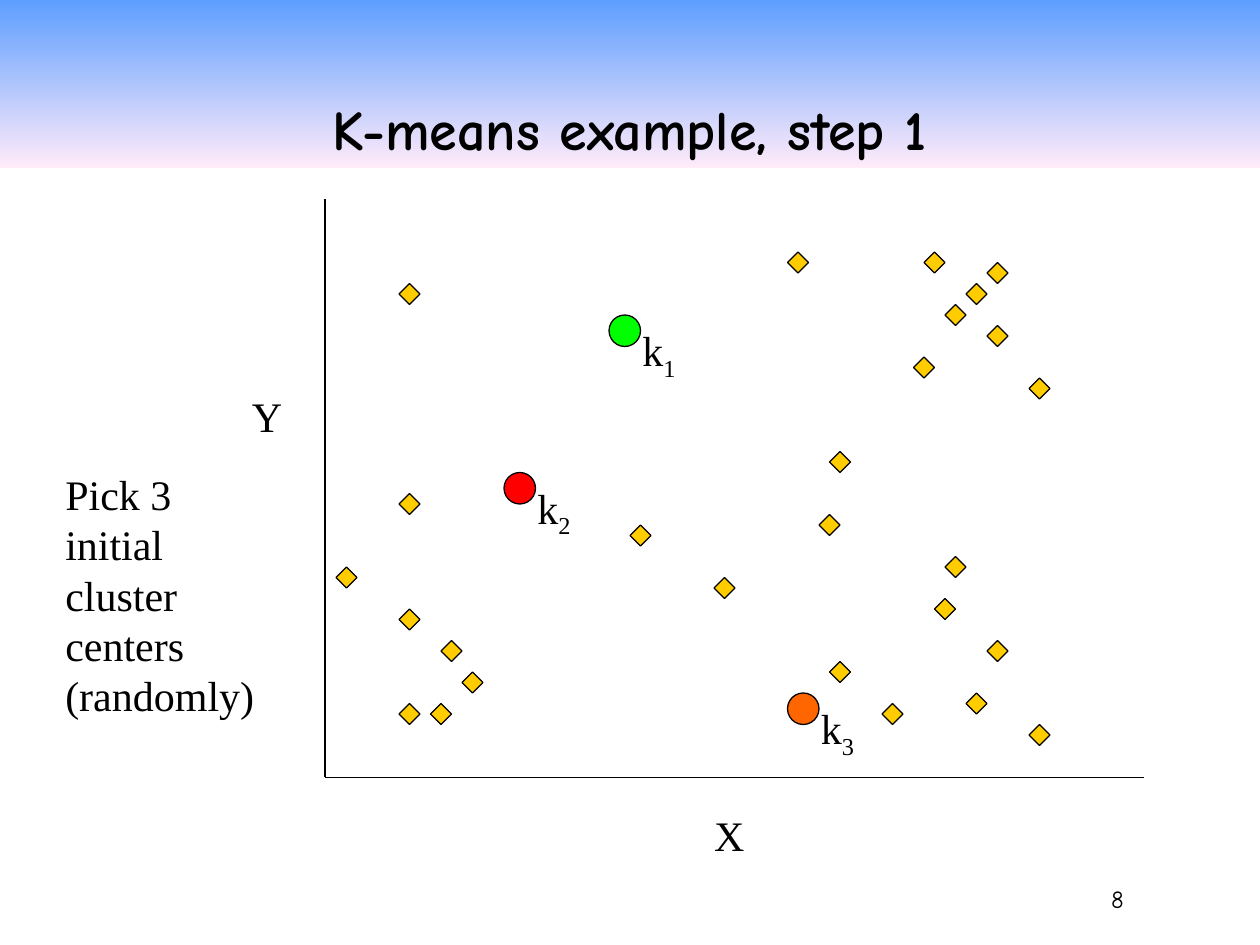
"""Build the K-means slide that shows three random initial cluster centers."""
from lxml import etree
from pptx import Presentation
from pptx import util as u
from pptx.dml.color import RGBColor
from pptx.enum import shapes, text
from pptx.oxml.ns import qn

BLACK = RGBColor(0, 0, 0)
GOLD = RGBColor(0xFF, 0xCC, 0x00)
GREEN = RGBColor(0x00, 0xFF, 0x00)
RED = RGBColor(0xFF, 0x00, 0x00)
ORANGE = RGBColor(0xFF, 0x66, 0x00)
SKY = RGBColor(0x5E, 0x9E, 0xFF)
PINK = RGBColor(0xFF, 0xEB, 0xFA)

SERIF = "Times New Roman"
COMIC = "Comic Neue"
GRID = 12
POINTS = [
    (42, 61), (44, 64), (41, 67), (38, 58), (38, 27), (38, 47), (38, 67),
    (32, 54), (60, 50), (88, 24), (94, 25), (92, 27), (90, 29), (94, 31),
    (98, 36), (75, 24), (79, 43), (79, 63), (84, 67), (89, 57), (78, 49),
    (68, 55), (94, 61), (92, 66), (90, 53), (98, 69), (87, 34),
]
CENTERS = [("1", 58, 30, GREEN), ("2", 48, 45, RED), ("3", 75, 66, ORANGE)]


def place(shape, x, y, w, h):
    """Move and size a shape in inches."""
    shape.left, shape.top = u.Inches(x), u.Inches(y)
    shape.width, shape.height = u.Inches(w), u.Inches(h)


def write(frame, words, sub="", font=SERIF, size=24, bold=False, lead=None,
          align=text.PP_ALIGN.LEFT, anchor=text.MSO_ANCHOR.TOP, wrap=False):
    """Fill a text frame, one paragraph a line, with an optional subscript."""
    frame.word_wrap = wrap
    frame.auto_size = text.MSO_AUTO_SIZE.NONE
    frame.vertical_anchor = anchor
    frame.text = words
    for para in frame.paragraphs:
        para.alignment = align
        if lead:
            para.line_spacing = u.Pt(lead)
    if sub:
        low = frame.paragraphs[-1].add_run()
        low.text = sub
        low.font._element.set("baseline", "-25000")
    for para in frame.paragraphs:
        for run in para.runs:
            run.font.name, run.font.size = font, u.Pt(size)
            run.font.bold = bold
            run.font.color.rgb = BLACK


def label(slide, words, x, y, w, h, **style):
    """Add a text box and return its frame."""
    frame = slide.shapes.add_textbox(*map(u.Inches, (x, y, w, h))).text_frame
    write(frame, words, **style)
    return frame


def mark(slide, kind, x, y, size, color):
    """Add an outlined marker given in grid units."""
    box = [u.Inches(n / GRID) for n in (x, y, size, size)]
    shape = slide.shapes.add_shape(kind, *box)
    shape.shadow.inherit = False
    shape.fill.solid()
    shape.fill.fore_color.rgb = color
    shape.line.color.rgb = BLACK
    shape.line.width = u.Pt(0.75)


def axis(slide, *ends):
    """Draw a thin black axis between two points."""
    line = slide.shapes.add_connector(shapes.MSO_CONNECTOR.STRAIGHT,
                                      *map(u.Inches, ends))
    line.line.color.rgb = BLACK
    line.line.width = u.Pt(0.75)
    etree.SubElement(line._element.spPr, qn("a:effectLst"))


def banner(slide, words):
    """Format the title placeholder as a gradient band."""
    title = slide.shapes.title
    place(title, 0, 0, 10, 1.33)
    title.fill.gradient()
    title.fill.gradient_angle = 270
    for stop, color in zip(title.fill.gradient_stops, (SKY, PINK)):
        stop.color.rgb = color
    write(title.text_frame, words, font=COMIC, size=32, bold=True, wrap=True,
          align=text.PP_ALIGN.CENTER, anchor=text.MSO_ANCHOR.BOTTOM)


def main():
    """Build and save the slide."""
    deck = Presentation()
    deck.slide_width, deck.slide_height = u.Inches(10), u.Inches(7.5)
    slide = deck.slides.add_slide(deck.slide_layouts[5])
    banner(slide, "K-means example, step 1")
    for x, y in POINTS:
        mark(slide, shapes.MSO_SHAPE.DIAMOND, x, y, 2, GOLD)
    for sub, x, y, color in CENTERS:
        mark(slide, shapes.MSO_SHAPE.OVAL, x, y, 3, color)
        label(slide, "k", (x + 2) / GRID, (y + 1) / GRID, 0.58, 0.56,
              sub=sub, lead=28.75, wrap=True)
    axis(slide, 2.58, 1.58, 2.58, 6.17)
    axis(slide, 2.58, 6.17, 9.08, 6.17)
    label(slide, "X", 5.57, 6.38, 0.44, 0.5, lead=28.75)
    label(slide, "Y", 1.9, 3.05, 0.44, 0.5, lead=28.75)
    label(slide, "Pick 3\ninitial\ncluster\ncenters\n(randomly)",
          0.42, 3.67, 1.7, 2.5, lead=28.75)
    page = label(slide, "8", 7.75, 6.75, 1.17, 0.5, font=COMIC, size=14,
                 wrap=True, align=text.PP_ALIGN.RIGHT,
                 anchor=text.MSO_ANCHOR.BOTTOM)
    page.margin_right = page.margin_bottom = 0
    deck.save("out.pptx")


if __name__ == "__main__":
    main()
